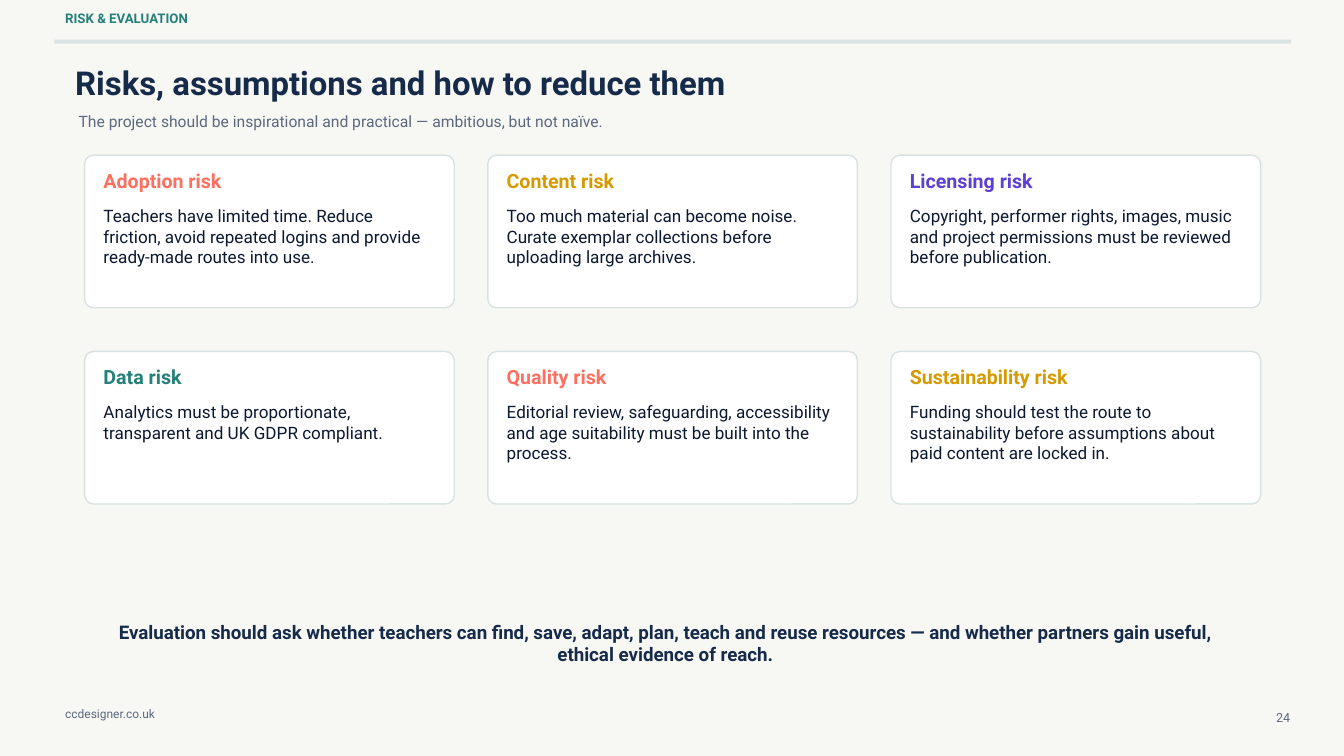
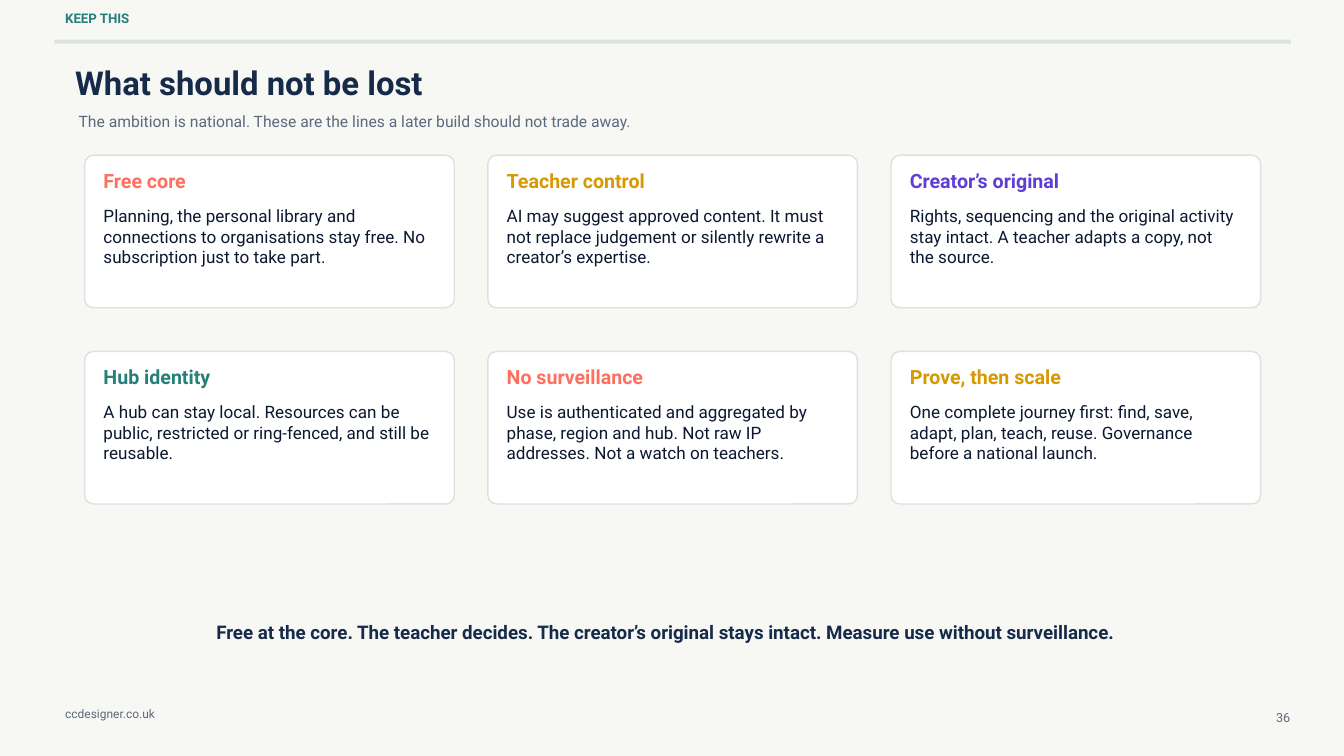
import pptx
import pptx.dml.color
import pptx.enum.shapes
import pptx.enum.text
import pptx.util

SLIDE_WIDTH = pptx.util.Inches(20)
SLIDE_HEIGHT = pptx.util.Inches(11.25)
COLUMN = SLIDE_WIDTH / 20
ROW = SLIDE_HEIGHT / 11.25

FONT = "Roboto"
PAPER, WHITE, RULE = "F7F7F4", "FFFFFF", "D9E3E1"
NAVY, INK, GREY = "162A49", "0C1830", "5C697D"
CORAL, GOLD, VIOLET, TEAL = "FF6F5F", "D69A00", "5D3FD3", "248078"
HEADING_COLOURS = [CORAL, GOLD, VIOLET, TEAL]

CARDS_PER_ROW = 3
CARD_LEFT, CARD_TOP = 1.26, 2.31
CARD_WIDTH, CARD_HEIGHT = 5.5, 2.27
CARD_STEP_X, CARD_STEP_Y = 6, 2.92
CARD_RADIUS = 0.13
CARD_PADDING = 0.28

LEFT = pptx.enum.text.PP_ALIGN.LEFT
CENTER = pptx.enum.text.PP_ALIGN.CENTER
RIGHT = pptx.enum.text.PP_ALIGN.RIGHT

SLIDES = [
    {
        "section": "RISK & EVALUATION",
        "title": "Risks, assumptions and how to reduce them",
        "subtitle": "The project should be inspirational and practical — ambitious, but not naïve.",
        "cards": [
            ("Adoption risk", "Teachers have limited time. Reduce friction, avoid repeated "
             "logins and provide ready-made routes into use."),
            ("Content risk", "Too much material can become noise. Curate exemplar "
             "collections before uploading large archives."),
            ("Licensing risk", "Copyright, performer rights, images, music and project "
             "permissions must be reviewed before publication."),
            ("Data risk", "Analytics must be proportionate, transparent and UK GDPR compliant."),
            ("Quality risk", "Editorial review, safeguarding, accessibility and age "
             "suitability must be built into the process."),
            ("Sustainability risk", "Funding should test the route to sustainability before "
             "assumptions about paid content are locked in."),
        ],
        "closing": "Evaluation should ask whether teachers can find, save, adapt, plan, teach and "
                   "reuse resources — and whether partners gain useful, ethical evidence of reach.",
        "number": "24",
    },
    {
        "section": "KEEP THIS",
        "title": "What should not be lost",
        "subtitle": "The ambition is national. These are the lines a later build should not trade away.",
        "cards": [
            ("Free core", "Planning, the personal library and connections to organisations "
             "stay free. No subscription just to take part."),
            ("Teacher control", "AI may suggest approved content. It must not replace "
             "judgement or silently rewrite a creator’s expertise."),
            ("Creator’s original", "Rights, sequencing and the original activity stay intact. "
             "A teacher adapts a copy, not the source."),
            ("Hub identity", "A hub can stay local. Resources can be public, restricted or "
             "ring-fenced, and still be reusable."),
            ("No surveillance", "Use is authenticated and aggregated by phase, region and hub. "
             "Not raw IP addresses. Not a watch on teachers."),
            ("Prove, then scale", "One complete journey first: find, save, adapt, plan, teach, "
             "reuse. Governance before a national launch."),
        ],
        "closing": "Free at the core. The teacher decides. The creator’s original stays intact. "
                   "Measure use without surveillance.",
        "number": "36",
    },
]


def colour(value):
    """Turn a hex string into a colour."""
    return pptx.dml.color.RGBColor.from_string(value)


def place(left, top, width, height):
    """Turn grid columns and rows into slide lengths."""
    return round(left * COLUMN), round(top * ROW), round(width * COLUMN), round(height * ROW)


def add_text(slide, box, text, size, text_colour, bold=False, align=LEFT):
    """Add a borderless text box holding one run."""
    frame = slide.shapes.add_textbox(*place(*box)).text_frame
    frame.word_wrap = True
    frame.auto_size = pptx.enum.text.MSO_AUTO_SIZE.SHAPE_TO_FIT_TEXT
    frame.margin_left = frame.margin_right = frame.margin_top = frame.margin_bottom = 0
    paragraph = frame.paragraphs[0]
    paragraph.alignment = align
    paragraph.line_spacing = pptx.util.Centipoints(round(size * 120))
    run = paragraph.add_run()
    run.text = text
    run.font.name = FONT
    run.font.size = pptx.util.Centipoints(round(size * 100))
    run.font.bold = bold
    run.font.color.rgb = colour(text_colour)


def add_panel(slide, kind, box, fill, line=None):
    """Add a flat filled shape, outlined if a line colour is given."""
    shape = slide.shapes.add_shape(kind, *place(*box))
    shape.shadow.inherit = False
    shape.fill.solid()
    shape.fill.fore_color.rgb = colour(fill)
    if line:
        shape.line.color.rgb = colour(line)
        shape.line.width = pptx.util.Pt(1.5)
    else:
        shape.line.fill.background()
    return shape


def add_card(slide, index, heading, body):
    """Add one card at its place in the grid."""
    row, column = divmod(index, CARDS_PER_ROW)
    left = CARD_LEFT + column * CARD_STEP_X
    top = CARD_TOP + row * CARD_STEP_Y
    panel = add_panel(slide, pptx.enum.shapes.MSO_SHAPE.ROUNDED_RECTANGLE,
                      (left, top, CARD_WIDTH, CARD_HEIGHT), WHITE, RULE)
    panel.adjustments[0] = CARD_RADIUS / CARD_HEIGHT
    text_left, text_width = left + CARD_PADDING, 4.93
    heading_colour = HEADING_COLOURS[index % len(HEADING_COLOURS)]
    add_text(slide, (text_left, top + 0.2, text_width, 0.49), heading, 21, heading_colour, bold=True)
    add_text(slide, (text_left, top + 0.75, text_width, 1.41), body, 18.3, INK)


def add_frame(slide, section, number):
    """Add the background, header band and footer."""
    slide.background.fill.solid()
    slide.background.fill.fore_color.rgb = colour(PAPER)
    add_panel(slide, pptx.enum.shapes.MSO_SHAPE.RECTANGLE, (0.81, 0.59, 18.4, 0.06), RULE)
    add_text(slide, (0.97, 0.15, 9.3, 0.36), section, 14.2, TEAL, bold=True)
    add_text(slide, (18.82, 10.56, 0.38, 0.31), number, 13.5, GREY, align=RIGHT)
    add_text(slide, (0.97, 10.52, 3.3, 0.31), "ccdesigner.co.uk", 12.8, GREY)


def add_card_slide(presentation, content):
    """Add a slide with a title, six cards and a closing line."""
    slide = presentation.slides.add_slide(presentation.slide_layouts[6])
    add_frame(slide, content["section"], content["number"])
    add_text(slide, (1.12, 0.93, 13.8, 0.72), content["title"], 35.2, NAVY, bold=True)
    add_text(slide, (1.17, 1.67, 17.25, 0.34), content["subtitle"], 16.8, GREY)
    for index, (heading, body) in enumerate(content["cards"]):
        add_card(slide, index, heading, body)
    add_text(slide, (1.5, 9.23, 16.8, 0.58), content["closing"], 20.1, NAVY, bold=True, align=CENTER)


def main():
    """Build and save the presentation."""
    presentation = pptx.Presentation()
    presentation.slide_width = SLIDE_WIDTH
    presentation.slide_height = SLIDE_HEIGHT
    for content in SLIDES:
        add_card_slide(presentation, content)
    presentation.save("out.pptx")


if __name__ == "__main__":
    main()
